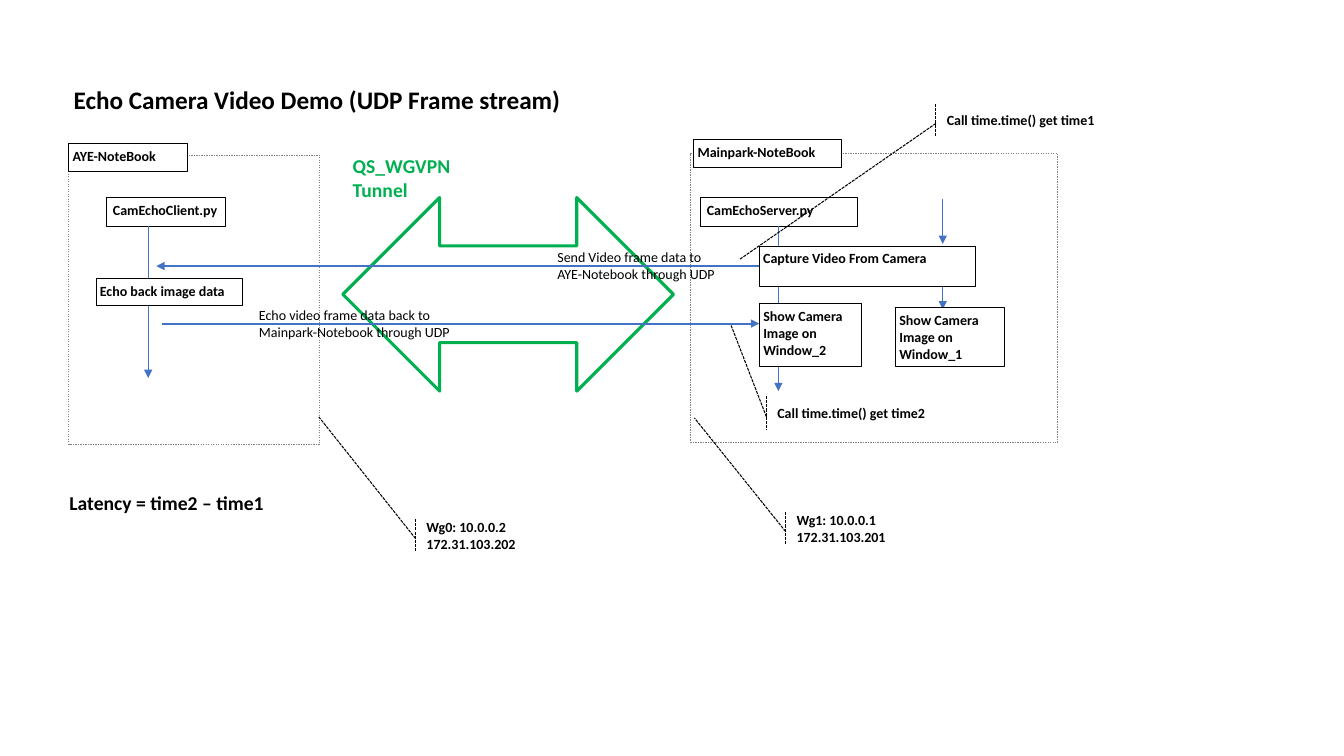
from dataclasses import dataclass
from typing import Optional

from lxml.etree import SubElement
from pptx import Presentation
from pptx.dml.color import RGBColor
from pptx.enum.dml import MSO_LINE
from pptx.enum.shapes import MSO_CONNECTOR, MSO_SHAPE
from pptx.enum.text import MSO_ANCHOR, MSO_AUTO_SIZE, PP_ALIGN
from pptx.oxml.ns import qn
from pptx.shapes.autoshape import Shape
from pptx.shapes.connector import Connector
from pptx.slide import Slide
from pptx.util import Inches, Pt

BOTTOM, LEFT = 2, 1


@dataclass(frozen=True)
class Theme:
    font: str = "Calibri"
    ink: RGBColor = RGBColor(0, 0, 0)
    paper: RGBColor = RGBColor(255, 255, 255)
    frame: RGBColor = RGBColor(0x80, 0x80, 0x80)
    flow: RGBColor = RGBColor(0x44, 0x72, 0xC4)
    tunnel: RGBColor = RGBColor(0, 0xB0, 0x50)
    title_size: float = 18
    heading_size: float = 14
    body_size: float = 10


THEME = Theme()


@dataclass(frozen=True)
class Area:
    left: float
    top: float
    width: float
    height: float

    def lengths(self) -> tuple:
        return tuple(Inches(n) for n in (self.left, self.top, self.width, self.height))


@dataclass(frozen=True)
class Box:
    text: str
    area: Area
    indent: float = 0.04


@dataclass(frozen=True)
class Arrow:
    start: tuple[float, float]
    end: tuple[float, float]
    weight: float = 0.5
    source: Optional[str] = None
    side: int = BOTTOM


@dataclass(frozen=True)
class Note:
    text: str
    area: Area
    size: float = THEME.body_size
    color: RGBColor = THEME.ink
    bold: bool = False


@dataclass(frozen=True)
class Callout:
    text: str
    area: Area
    pointer_y: float
    pointer_x: float


CLIENT, SERVER = "CamEchoClient.py", "CamEchoServer.py"
CAPTURE = "Capture Video From Camera"

FRAMES = (Area(6.85, 1.52, 3.64, 2.87), Area(0.68, 1.54, 2.49, 2.87))
HOST_BOXES = (
    Box("AYE-NoteBook", Area(0.68, 1.42, 1.18, 0.28)),
    Box("Mainpark-NoteBook", Area(6.88, 1.38, 1.46, 0.28)),
    Box(CLIENT, Area(1.05, 1.96, 1.18, 0.28), 0.07),
    Box(SERVER, Area(6.94, 1.96, 1.56, 0.28), 0.07),
)
STEP_BOXES = (
    Box("Echo back image data", Area(0.95, 2.76, 1.45, 0.27)),
    Box(CAPTURE, Area(7.53, 2.44, 2.14, 0.4)),
    Box("Show Camera Image on Window_1", Area(8.88, 3.05, 1.08, 0.58)),
    Box("Show Camera Image on Window_2", Area(7.53, 3.01, 1.01, 0.62)),
)
TUNNEL = Area(3.4, 1.96, 3.28, 1.92)
ARROWS = (
    Arrow((1.47, 2.24), (1.47, 3.75)),
    Arrow((7.72, 2.24), (7.72, 3.88), source=SERVER),
    Arrow((9.35, 1.97), (9.35, 2.42)),
    Arrow((9.35, 2.85), (9.35, 3.07)),
    Arrow((7.53, 2.64), (1.55, 2.64), 1.5, CAPTURE, LEFT),
    Arrow((1.61, 3.21), (7.53, 3.21), 1.5),
)
NOTES = (
    Note("QS_WGVPN Tunnel", Area(3.4, 1.48, 1.33, 0.57), THEME.heading_size, THEME.tunnel, True),
    Note("Send Video frame data to AYE-Notebook through UDP", Area(5.43, 2.42, 1.8, 0.44)),
    Note("Echo video frame data back to Mainpark-Notebook through UDP", Area(2.47, 2.99, 2.19, 0.44)),
    Note("Latency = time2 – time1", Area(0.59, 4.82, 2.79, 0.34), THEME.heading_size, bold=True),
)
CALLOUTS = (
    Callout("Wg1: 10.0.0.1\n172.31.103.201", Area(7.88, 5.08, 1.72, 0.32), -2.915, -0.577),
    Callout("Wg0: 10.0.0.2\n172.31.103.202", Area(4.21, 5.15, 1.72, 0.32), -3.167, -0.609),
    Callout("Call time.time() get time1", Area(9.37, 1.03, 1.72, 0.32), 4.831, -1.185),
    Callout("Call time.time() get time2", Area(7.69, 3.93, 1.73, 0.34), -2.069, -0.254),
)


def write(shape: Shape, text: str, size: float = THEME.body_size,
          color: RGBColor = THEME.ink, bold: bool = True) -> None:
    frame = shape.text_frame
    frame.text = text
    frame.word_wrap = True
    for para in frame.paragraphs:
        para.alignment = PP_ALIGN.LEFT
        para.font.name = THEME.font
        para.font.size = Pt(size)
        para.font.bold = bold
        para.font.color.rgb = color


def set_insets(shape: Shape, inset: float, left: float) -> None:
    frame = shape.text_frame
    frame.margin_top = frame.margin_right = frame.margin_bottom = Inches(inset)
    frame.margin_left = Inches(left)


def add_outlined(page: Slide, kind: MSO_SHAPE, area: Area, color: RGBColor, weight: float,
                 dash: Optional[MSO_LINE] = None, filled: bool = False) -> Shape:
    shape = page.shapes.add_shape(kind, *area.lengths())
    shape.shadow.inherit = False
    if filled:
        shape.fill.solid()
        shape.fill.fore_color.rgb = THEME.paper
    else:
        shape.fill.background()
    shape.line.color.rgb = color
    shape.line.width = Pt(weight)
    if dash is not None:
        shape.line.dash_style = dash
    return shape


def add_box(page: Slide, box: Box) -> Shape:
    shape = add_outlined(page, MSO_SHAPE.RECTANGLE, box.area, THEME.ink, 0.25, filled=True)
    set_insets(shape, 0.04, box.indent)
    shape.text_frame.vertical_anchor = MSO_ANCHOR.TOP
    write(shape, box.text)
    return shape


def add_arrow(page: Slide, arrow: Arrow) -> Connector:
    points = (Inches(n) for n in (*arrow.start, *arrow.end))
    line = page.shapes.add_connector(MSO_CONNECTOR.STRAIGHT, *points)
    line.line.color.rgb = THEME.flow
    line.line.width = Pt(arrow.weight)
    SubElement(line.line._get_or_add_ln(), qn("a:tailEnd"), type="triangle")
    SubElement(line._element.spPr, qn("a:effectLst"))
    return line


def add_note(page: Slide, note: Note) -> None:
    box = page.shapes.add_textbox(*note.area.lengths())
    write(box, note.text, note.size, note.color, note.bold)


def add_callout(page: Slide, callout: Callout) -> None:
    shape = add_outlined(page, MSO_SHAPE.LINE_CALLOUT_1_ACCENT_BAR, callout.area,
                         THEME.ink, 0.75, MSO_LINE.SQUARE_DOT)
    pointer = (0.607, -0.051, callout.pointer_y, callout.pointer_x)
    for index, value in enumerate(pointer):
        shape.adjustments[index] = value
    set_insets(shape, 0.02, 0.02)
    shape.text_frame.vertical_anchor = MSO_ANCHOR.MIDDLE
    write(shape, callout.text)


def set_title(page: Slide) -> None:
    title = page.shapes.title
    title.left, title.top, title.width, title.height = Area(0.63, 0.79, 5.07, 0.4).lengths()
    write(title, "Echo Camera Video Demo (UDP Frame stream)", THEME.title_size)
    title.text_frame.vertical_anchor = MSO_ANCHOR.TOP
    title.text_frame.auto_size = MSO_AUTO_SIZE.NONE


def main() -> None:
    deck = Presentation()
    deck.slide_width, deck.slide_height = Inches(13.33), Inches(7.5)
    page = deck.slides.add_slide(deck.slide_layouts[5])
    set_title(page)
    for area in FRAMES:
        add_outlined(page, MSO_SHAPE.RECTANGLE, area, THEME.frame, 0.25, MSO_LINE.DASH, True)
    boxes = {box.text: add_box(page, box) for box in HOST_BOXES}
    add_outlined(page, MSO_SHAPE.LEFT_RIGHT_ARROW, TUNNEL, THEME.tunnel, 2.25)
    lines = [add_arrow(page, arrow) for arrow in ARROWS]
    boxes |= {box.text: add_box(page, box) for box in STEP_BOXES}
    for arrow, line in zip(ARROWS, lines):
        if arrow.source:
            line.begin_connect(boxes[arrow.source], arrow.side)
    for note in NOTES:
        add_note(page, note)
    for callout in CALLOUTS:
        add_callout(page, callout)
    deck.save("out.pptx")


if __name__ == "__main__":
    main()
